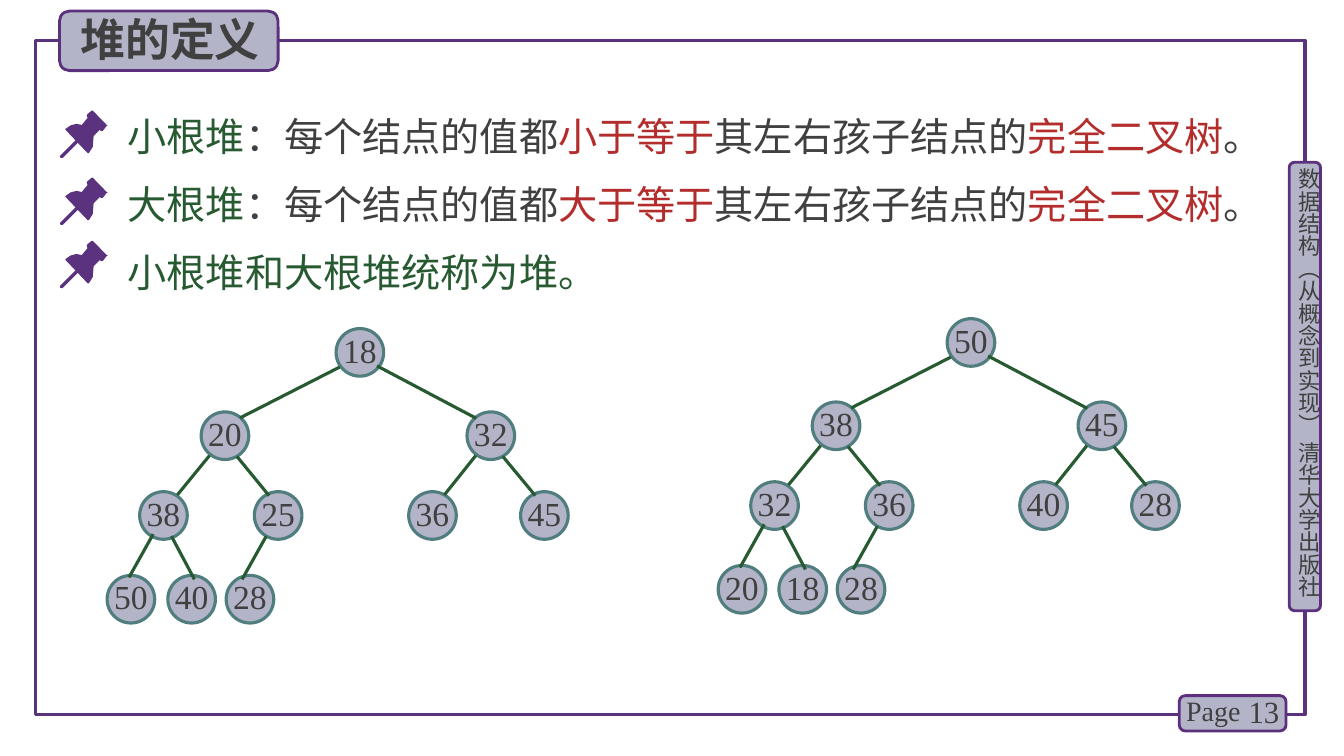
from lxml.etree import SubElement
from pptx import Presentation
from pptx.dml.color import RGBColor
from pptx.enum.shapes import MSO_CONNECTOR, MSO_SHAPE as Preset
from pptx.enum.text import MSO_ANCHOR as Anchor, PP_ALIGN as Align
from pptx.oxml.ns import qn
from pptx.util import Cm, Pt

COLORS = {"frame": "5A327D", "border": "5C307D", "panel": "B4B4C8", "text": "404040",
          "green": "285A32", "red": "B42D2D", "ring": "507D7D"}
SANS, SERIF = "Noto Sans CJK SC", "Times New Roman"

deck = Presentation()
deck.slide_width, deck.slide_height = Cm(33.87), Cm(19.05)
page = deck.slides.add_slide(deck.slide_layouts[6])


def paint(shape, fill, line=None, width=2):
    shape.shadow.inherit = False
    if fill:
        shape.fill.solid()
        shape.fill.fore_color.rgb = RGBColor.from_string(COLORS[fill])
    else:
        shape.fill.background()
    if line:
        shape.line.color.rgb = RGBColor.from_string(COLORS[line])
        shape.line.width = Pt(width)
    else:
        shape.line.fill.background()


def write(box, spans, size, font=SERIF, bold=False, inset=None, para_format=None, **frame_format):
    frame = box.text_frame
    for name, value in {"word_wrap": True, **frame_format}.items():
        setattr(frame, name, value)
    if inset is not None:
        for side in ("left", "top", "right", "bottom"):
            setattr(frame, f"margin_{side}", inset)
    para = frame.paragraphs[0]
    for name, value in (para_format or {}).items():
        setattr(para, name, value)
    for text, color in spans:
        span = para.add_run()
        span.text = text
        for name, value in {"size": Pt(size), "name": font, "bold": bold}.items():
            setattr(span.font, name, value)
        span.font.color.rgb = RGBColor.from_string(COLORS[color])
        if not text.isascii():
            properties = span.font._element
            properties.set("lang", "zh-CN")
            SubElement(properties, qn("a:ea")).set("typeface", SANS)


# Frame and labels
frame_box = page.shapes.add_shape(Preset.RECTANGLE, Cm(0.89), Cm(1.02), Cm(32), Cm(16.99))
paint(frame_box, None, "frame", 2.25)
for place in [(32.49, 4.09, 0.79, 11.3), (29.72, 17.53, 2.69, 0.89), (1.5, 0.28, 5.51, 1.5)]:
    panel = page.shapes.add_shape(Preset.ROUNDED_RECTANGLE, *map(Cm, place))
    paint(panel, "panel", "border")

LABELS = [
    ("数据结构（从概念到实现） 清华大学出版社", (32.64, 4.24, 0.69, 11.4),
     {"size": 16, "font": SANS, "inset": 0}),
    ("13", (30.99, 17.42, 1.5, 1.02),
     {"size": 22, "vertical_anchor": Anchor.MIDDLE, "para_format": {"alignment": Align.RIGHT}}),
    ("Page", (29.64, 17.35, 1.98, 1.12), {"size": 20}),
    ("堆的定义", (1.78, 0.18, 5.08, 1.63), {"size": 32, "font": SANS, "bold": True}),
]
for text, place, style in LABELS:
    box = page.shapes.add_textbox(*map(Cm, place))
    write(box, [(text, "text")], **style)
    if place[3] > place[2]:
        box.element.txBody.bodyPr.set("vert", "eaVert")

# Definitions, each with a pin; outlines are in hundredths of a centimetre
PIN_HEAD = [(84, 0), (81, 0), (69, 10), (69, 15), (71, 18), (56, 36), (43, 33), (28, 37),
            (15, 46), (15, 48), (71, 107), (74, 107), (84, 91), (86, 64), (102, 48),
            (104, 51), (109, 51), (119, 38), (122, 37), (119, 36)]
PIN_NEEDLE = [(5, 119), (2, 118), (1, 114), (3, 112), (41, 74), (44, 72), (48, 74),
              (48, 79), (8, 119)]


DEFINITIONS = [(2.79, 2.49), (4.48, 4.19), (6.07, 5.92)]
sentences = [
    [(name, "green"), ("：每个结点的值都", "text"), (relation, "red"),
     ("其左右孩子结点的", "text"), ("完全二叉树", "red"), ("。", "text")]
    for name, relation in [("小根堆", "小于等于"), ("大根堆", "大于等于")]
] + [[("小根堆和大根堆统称为堆。", "green")]]
for (pin_top, text_top), spans in zip(DEFINITIONS, sentences):
    for outline in (PIN_HEAD, PIN_NEEDLE):
        builder = page.shapes.build_freeform(*outline[0], scale=Cm(0.01))
        builder.add_line_segments(outline[1:], close=True)
        paint(builder.convert_to_shape(Cm(1.5), Cm(pin_top)), "frame")
    box = page.shapes.add_textbox(Cm(2.97), Cm(text_top), Cm(28.63), Cm(1.55))
    write(box, spans, 28, para_format={"line_spacing": Pt(40)})

# Heaps: node centres and edge ends are measured from the root's centre
DIAMETER = 1.2
LEVELS = [(0, [0]), (2.1, [-3.4, 3.3]), (4.11, [-4.95, -2.06, 1.83, 4.65]),
          (6.22, [-5.77, -4.24, -2.77])]
NODES = [(x, y) for y, row in LEVELS for x in row]
EDGES = [(-0.51, 0.37, -3.02, 1.65), (0.43, 0.34, 2.93, 1.66),
         (-3.79, 2.6, -4.6, 3.59), (-3.1, 2.62, -2.29, 3.61),
         (2.92, 2.6, 2.13, 3.59), (3.6, 2.62, 4.42, 3.61),
         (-5.21, 4.58, -5.82, 5.67), (-4.75, 4.63, -4.17, 5.72),
         (-2.36, 4.63, -2.97, 5.72)]
HEAPS = [(9.07, 8.88, [18, 20, 32, 38, 25, 36, 45, 50, 40, 28]),
         (24.47, 8.63, [50, 38, 45, 32, 36, 40, 28, 20, 18, 28])]
for root_x, root_y, values in HEAPS:
    for (x, y), value in zip(NODES, values):
        node = page.shapes.add_shape(
            Preset.OVAL, Cm(root_x + x - DIAMETER / 2), Cm(root_y + y - DIAMETER / 2),
            Cm(DIAMETER), Cm(DIAMETER))
        paint(node, "panel", "ring", 2.25)
        write(node, [(str(value), "text")], 24, inset=0, word_wrap=False,
              vertical_anchor=Anchor.MIDDLE,
              para_format={"alignment": Align.CENTER, "line_spacing": Pt(25)})
    for x1, y1, x2, y2 in EDGES:
        edge = page.shapes.add_connector(
            MSO_CONNECTOR.STRAIGHT, Cm(root_x + x1), Cm(root_y + y1),
            Cm(root_x + x2), Cm(root_y + y2))
        edge.line.color.rgb = RGBColor.from_string(COLORS["green"])
        edge.line.width = Pt(2.25)
        SubElement(edge.element.spPr, qn("a:effectLst"))

deck.save("out.pptx")
